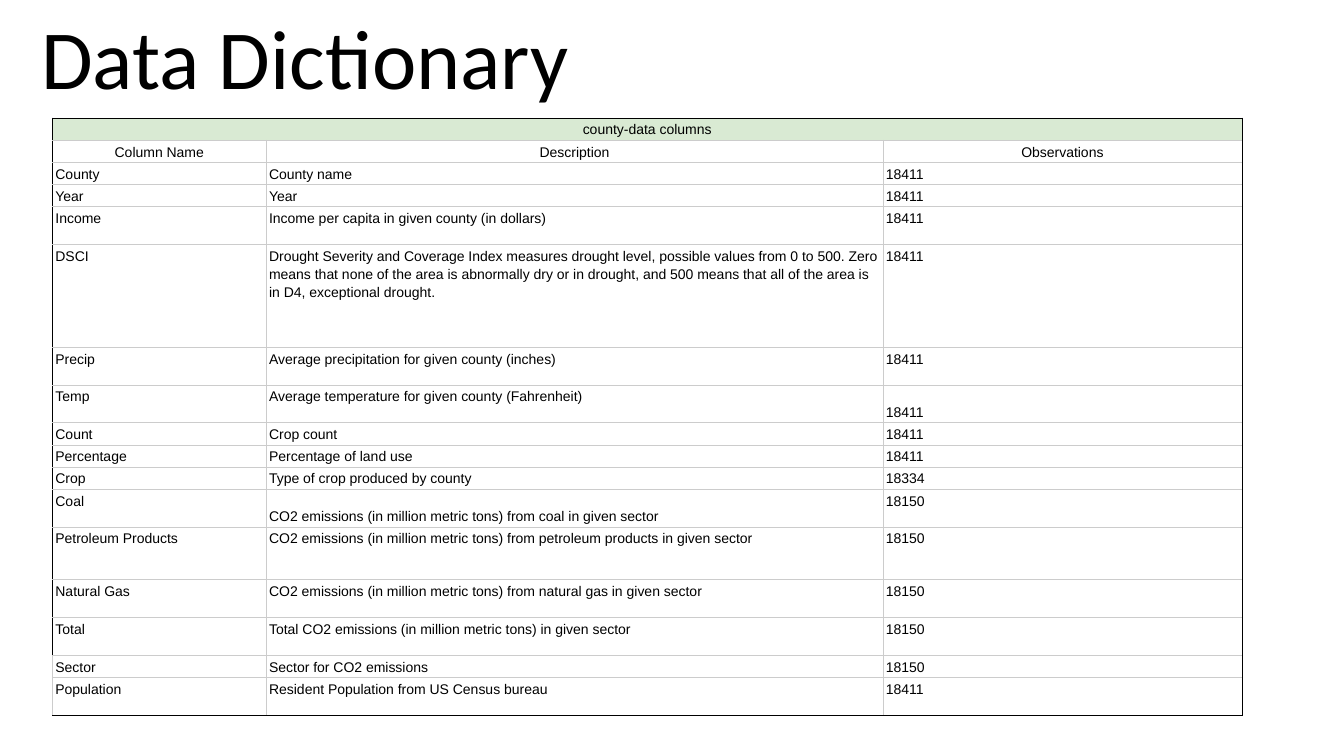
from lxml import etree
from pptx import Presentation
from pptx import util as u
from pptx.dml.color import RGBColor
from pptx.enum import text
from pptx.oxml import ns

BLACK = RGBColor(0x00, 0x00, 0x00)
WHITE = RGBColor(0xFF, 0xFF, 0xFF)
GREY = RGBColor(0xCC, 0xCC, 0xCC)
GREEN = RGBColor(0xD9, 0xEA, 0xD3)

# Column widths and row heights, in percent of the slide
COLS = [15.9, 45.9, 26.7]
ONE, TWO, THREE, FIVE = 2.93, 5.0, 7.0, 13.6

BANNER = "county-data columns"
HEADS = ("Column Name", "Description", "Observations")
FIELDS = [
    ("County", "County name", "18411", ONE),
    ("Year", "Year", "18411", ONE),
    ("Income", "Income per capita in given county (in dollars)", "18411", TWO),
    ("DSCI", "Drought Severity and Coverage Index measures drought level, "
     "possible values from 0 to 500. Zero means that none of the area is "
     "abnormally dry or in drought, and 500 means that all of the area is "
     "in D4, exceptional drought.", "18411", FIVE),
    ("Precip", "Average precipitation for given county (inches)", "18411", TWO),
    ("Temp", "Average temperature for given county (Fahrenheit)", "18411", TWO),
    ("Count", "Crop count", "18411", ONE),
    ("Percentage", "Percentage of land use", "18411", ONE),
    ("Crop", "Type of crop produced by county", "18334", ONE),
    ("Coal", "CO2 emissions (in million metric tons) from coal in given sector",
     "18150", TWO),
    ("Petroleum Products", "CO2 emissions (in million metric tons) from "
     "petroleum products in given sector", "18150", THREE),
    ("Natural Gas", "CO2 emissions (in million metric tons) from natural gas "
     "in given sector", "18150", TWO),
    ("Total", "Total CO2 emissions (in million metric tons) in given sector",
     "18150", TWO),
    ("Sector", "Sector for CO2 emissions", "18150", ONE),
    ("Population", "Resident Population from US Census bureau", "18411", TWO),
]
# Cells with a white fill and text at the bottom: (field, column)
LOW = {("County", 2), ("Year", 2), ("Temp", 2), ("Coal", 1)}
PALE = ("Sector", "Population")  # fields with a grey left edge


class Deck:
    """Holds the style and the current slide; lengths are percentages."""

    def __init__(self):
        self.prs = Presentation()
        self.prs.slide_width = u.Inches(13.33)
        self.prs.slide_height = u.Inches(7.5)
        self.slide = self.prs.slides.add_slide(self.prs.slide_layouts[6])

    def x(self, share):
        return int(self.prs.slide_width * share / 100)

    def y(self, share):
        return int(self.prs.slide_height * share / 100)

    def style(self, frame, font, size, gap, align):
        para = frame.paragraphs[0]
        para.line_spacing = gap
        para.alignment = align
        for run in para.runs:
            run.font.name = font
            run.font.size = u.Pt(size)
            run.font.color.rgb = BLACK

    def title(self, words, left, top, width, height):
        box = self.slide.shapes.add_textbox(
            self.x(left), self.y(top), self.x(width), self.y(height))
        frame = box.text_frame
        frame.word_wrap = True
        frame.vertical_anchor = text.MSO_ANCHOR.MIDDLE
        frame.text = words
        self.style(frame, "Calibri", 60, 0.9, text.PP_ALIGN.LEFT)

    def table(self, left, top, cols, rows):
        frame = self.slide.shapes.add_table(
            len(rows), len(cols), self.x(left), self.y(top),
            self.x(sum(cols)), self.y(sum(rows)))
        grid = frame.table
        grid.first_row = grid.horz_banding = False
        for col, share in zip(grid.columns, cols):
            col.width = self.x(share)
        for row, share in zip(grid.rows, rows):
            row.height = self.y(share)
        return grid

    def cell(self, cell, words, edges, fill=None, mid=False, low=False):
        cell.margin_left = cell.margin_right = u.Inches(0.03)
        cell.margin_top = cell.margin_bottom = u.Inches(0.02)
        cell.vertical_anchor = (
            text.MSO_ANCHOR.BOTTOM if low else text.MSO_ANCHOR.TOP)
        cell.text_frame.text = words
        align = text.PP_ALIGN.CENTER if mid else text.PP_ALIGN.LEFT
        self.style(cell.text_frame, "Arial", 10, 1.15, align)
        self.border(cell, edges)
        if fill is None:
            cell.fill.background()
        else:
            cell.fill.solid()
            cell.fill.fore_color.rgb = fill

    def border(self, cell, edges):
        """Draw all four sides, black where named in edges, else grey."""
        props = cell._tc.get_or_add_tcPr()
        for side in "LRTB":
            line = etree.SubElement(
                props, ns.qn("a:ln" + side), w=str(u.Pt(0.47)))
            solid = etree.SubElement(line, ns.qn("a:solidFill"))
            tone = BLACK if side in edges else GREY
            etree.SubElement(solid, ns.qn("a:srgbClr"), val=str(tone))


def main():
    deck = Deck()

    # Data dictionary table
    rows = [ONE, ONE] + [field[3] for field in FIELDS]
    grid = deck.table(3.9, 15.6, COLS, rows)

    # Banner across all columns
    grid.cell(0, 0).merge(grid.cell(0, 2))
    deck.cell(grid.cell(0, 0), BANNER, "LTR", GREEN, mid=True)

    # Column heads and fields
    lines = [HEADS] + [field[:3] for field in FIELDS]
    for r, line in enumerate(lines, 1):
        for c, words in enumerate(line):
            edges = "L" if c == 0 and line[0] not in PALE else ""
            edges += "R" if c == 2 else ""
            edges += "B" if r == len(lines) else ""
            low = (line[0], c) in LOW
            deck.cell(grid.cell(r, c), words, edges,
                      WHITE if low else None, mid=r == 1, low=low)

    # Title
    deck.title("Data Dictionary", 2.33, 2.4, 86.27, 11.6)

    deck.prs.save("out.pptx")


if __name__ == "__main__":
    main()
